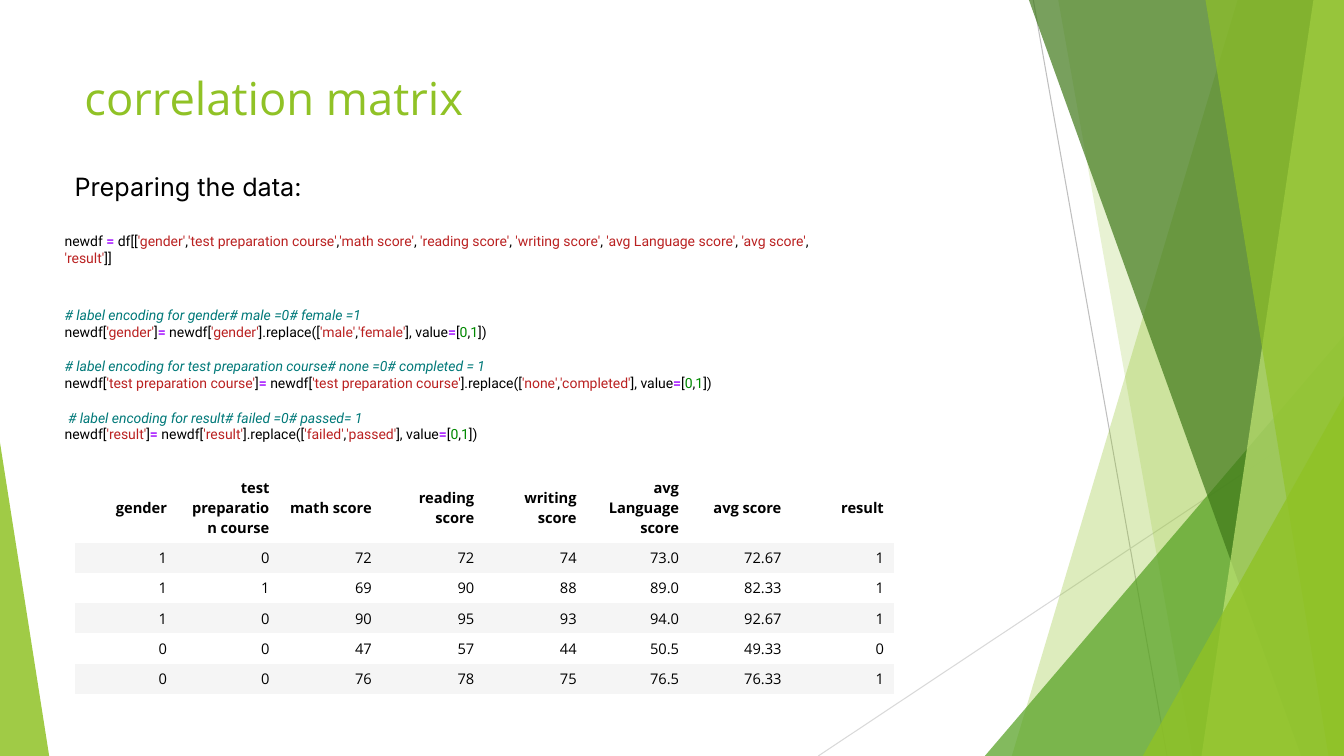
import itertools

import lxml.etree
import pptx
import pptx.dml.color
import pptx.enum.shapes
import pptx.enum.text
import pptx.oxml.ns
import pptx.util

Cm = pptx.util.Cm
Pt = pptx.util.Pt
RGB = pptx.dml.color.RGBColor
qn = pptx.oxml.ns.qn

LIME = RGB(0x90, 0xC2, 0x26)
GREEN = RGB(0x54, 0xA0, 0x21)
DARK = RGB(0x3F, 0x78, 0x19)
PALE = RGB(0xC0, 0xE4, 0x74)
GRAY = RGB(0xBF, 0xBF, 0xBF)
LIGHT = RGB(0xD9, 0xD9, 0xD9)
BAND = RGB(0xF5, 0xF5, 0xF5)
BLACK = RGB(0, 0, 0)
RED = RGB(0xBA, 0x21, 0x21)
PURPLE = RGB(0xAA, 0x22, 0xFF)
TEAL = RGB(0x00, 0x79, 0x79)
LEAF = RGB(0x00, 0x88, 0x00)

WIDE, HIGH = 33.87, 19.05
PLAIN = "{2D5ABB26-0587-4C30-8999-92F81FD0307C}"

SELECT = (
    "newdf = df[['gender','test preparation course','math score', "
    "'reading score', 'writing score', 'avg Language score', "
    "'avg score', 'result']]"
)
STEPS = [
    ("# label encoding for gender# male =0# female =1",
     "gender", "male", "female"),
    ("# label encoding for test preparation course# none =0# completed = 1",
     "test preparation course", "none", "completed"),
    (" # label encoding for result# failed =0# passed= 1",
     "result", "failed", "passed"),
]
SCORES = [
    ["gender", "test preparation course", "math score", "reading score",
     "writing score", "avg Language score", "avg score", "result"],
    ["1", "0", "72", "72", "74", "73.0", "72.67", "1"],
    ["1", "1", "69", "90", "88", "89.0", "82.33", "1"],
    ["1", "0", "90", "95", "93", "94.0", "92.67", "1"],
    ["0", "0", "47", "57", "44", "50.5", "49.33", "0"],
    ["0", "0", "76", "78", "75", "76.5", "76.33", "1"],
]


def style(run, font, size, color, bold=False, slant=False):
    run.font.name = font
    run.font.size = Pt(size)
    run.font.color.rgb = color
    run.font.bold = bold
    run.font.italic = slant


def paint(shape, color, alpha):
    shape.shadow.inherit = False
    shape.line.fill.background()
    shape.fill.solid()
    shape.fill.fore_color.rgb = color
    tint = shape.fill._xPr.find(qn("a:solidFill"))[0]
    lxml.etree.SubElement(tint, qn("a:alpha"), val=str(alpha * 1000))


def stroke(slide, start, end, color):
    kind = pptx.enum.shapes.MSO_CONNECTOR.STRAIGHT
    line = slide.shapes.add_connector(kind, *map(Cm, start + end))
    line.line.color.rgb = color
    line.line.width = Pt(0.75)
    lxml.etree.SubElement(line._element.spPr, qn("a:effectLst"))


def wedge(slide, box, apex, color, alpha):
    kind = pptx.enum.shapes.MSO_SHAPE.ISOSCELES_TRIANGLE
    shape = slide.shapes.add_shape(kind, *map(Cm, box))
    shape.adjustments[0] = apex
    paint(shape, color, alpha)


def facet(slide, box, head, foot, color, alpha):
    left, top, width, height = box
    right, base = left + width, top + height
    pen = slide.shapes.build_freeform(Cm(left + head), Cm(top), scale=1.0)
    spots = [(right, top), (right, base), (left + foot, base)]
    pen.add_line_segments([(Cm(x), Cm(y)) for x, y in spots], close=True)
    paint(pen.convert_to_shape(), color, alpha)


def corner(slide, box, across, down, color, alpha):
    left, top, width, height = box
    area = (left + across, top + down, width - across, height - down)
    wedge(slide, area, 1, color, alpha)


def decor(slide, box):
    left, top, width, height = box
    base = top + height
    stroke(slide, (left + 5.42, top), (left + 8.79, base), GRAY)
    stroke(slide, (left + width, top + 10.24), (left, base), LIGHT)
    parts = [
        (facet, 10.57, 4.88, LIME, 30),
        (facet, 6.05, 9.43, LIME, 20),
        (corner, 4.2, 8.46, GREEN, 72),
        (facet, 5.31, 12.17, DARK, 70),
        (facet, 12.48, 9.66, PALE, 70),
        (facet, 9.76, 12.86, LIME, 65),
        (corner, 8.18, 9.98, LIME, 80),
    ]
    for draw, *rest in parts:
        draw(slide, box, *rest)


def frame(slide, box):
    text = slide.shapes.add_textbox(*map(Cm, box)).text_frame
    text.word_wrap = True
    text.vertical_anchor = pptx.enum.text.MSO_ANCHOR.TOP
    return text


def label(slide, box, words, font, size, color):
    text = frame(slide, box)
    text.text = words
    style(text.paragraphs[0].runs[0], font, size, color)


def kind(char):
    if char == "=":
        return PURPLE
    return LEAF if char.isdigit() else BLACK


def tokens(line):
    if line.strip().startswith("#"):
        yield line, TEAL
        return
    for spot, piece in enumerate(line.split("'")):
        if spot % 2:
            yield f"'{piece}'", RED
        else:
            for color, chars in itertools.groupby(piece, kind):
                yield "".join(chars), color


def code(slide, box, lines):
    text = frame(slide, box)
    text.margin_left = text.margin_right = 0
    text.margin_top = text.margin_bottom = 0
    text.text = "\n".join(lines)
    for spot, (para, line) in enumerate(zip(text.paragraphs, lines)):
        para.text = ""
        if spot and line.strip().startswith("#"):
            para.space_before = Pt(12.5)
        for word, color in tokens(line):
            run = para.add_run()
            run.text = word
            style(run, "Roboto", 10, color, color == PURPLE, color == TEAL)


def grid(slide, box, rows):
    count = len(rows[0])
    area = map(Cm, box)
    table = slide.shapes.add_table(len(rows), count, *area).table
    table._tbl.tblPr.find(qn("a:tableStyleId")).text = PLAIN
    table.first_row = table.horz_banding = False
    for col in table.columns:
        col.width = Cm(box[2] / count)
    for r, row in enumerate(rows):
        table.rows[r].height = Cm(0.76 if r else box[3] - 0.76 * (len(rows) - 1))
        for c, value in enumerate(row):
            cell = table.cell(r, c)
            cell.text = value
            cell.vertical_anchor = pptx.enum.text.MSO_ANCHOR.MIDDLE
            para = cell.text_frame.paragraphs[0]
            para.alignment = pptx.enum.text.PP_ALIGN.RIGHT
            style(para.runs[0], "Open Sans", 10.5, BLACK, r == 0)
            if r % 2:
                cell.fill.solid()
                cell.fill.fore_color.rgb = BAND
            else:
                cell.fill.background()


def build():
    deck = pptx.Presentation()
    deck.slide_width, deck.slide_height = Cm(WIDE), Cm(HIGH)
    slide = deck.slides.add_slide(deck.slide_layouts[6])
    decor(slide, (20.62, 0, WIDE - 20.62, HIGH))
    wedge(slide, (0, 11.15, 1.24, HIGH - 11.15), 0, LIME, 85)
    label(slide, (1.88, 1.65, 23.88, 2.08), "correlation matrix",
          "Open Sans", 32.4, LIME)
    grid(slide, (1.88, 11.91, 20.65, 5.57), SCORES)
    code(slide, (1.63, 5.87, 20.02, 1.19), [SELECT])
    lines = []
    for note, name, low, top in STEPS:
        call = f"newdf['{name}']= newdf['{name}'].replace(['{low}','{top}'], value=[0,1])"
        lines += [note, call]
    code(slide, (1.63, 7.73, 17.73, 4.19), lines)
    label(slide, (1.63, 4.19, 16.94, 1.02), "Preparing the data:",
          "Inter", 18, BLACK)
    deck.save("out.pptx")


build()
